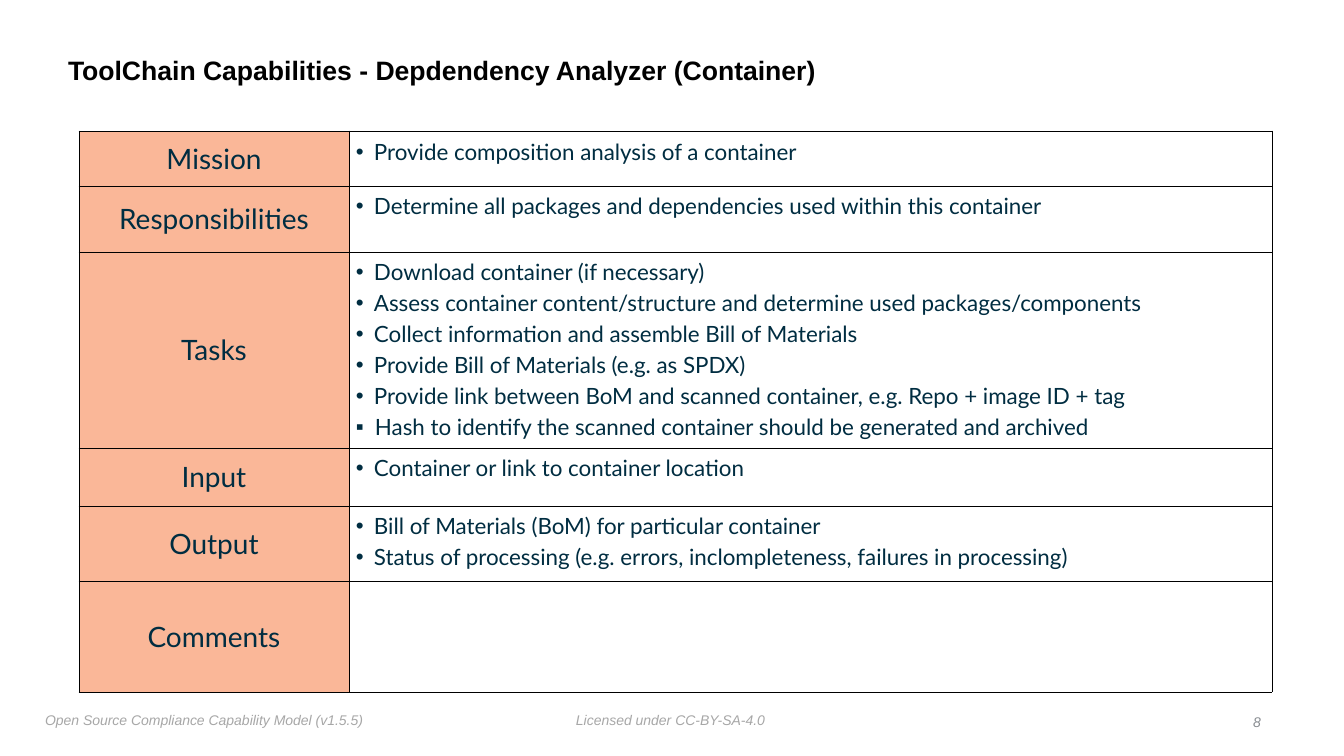
from lxml import etree
from pptx import Presentation
from pptx.dml.color import RGBColor
from pptx.enum.text import MSO_ANCHOR, MSO_AUTO_SIZE, PP_ALIGN
from pptx.oxml.ns import qn
from pptx.util import Emu, Pt

LEFT, CENTER, RIGHT = PP_ALIGN.LEFT, PP_ALIGN.CENTER, PP_ALIGN.RIGHT
TOP, MIDDLE = MSO_ANCHOR.TOP, MSO_ANCHOR.MIDDLE
NO_AUTOFIT = MSO_AUTO_SIZE.NONE
TITLE_ONLY = 5
SLIDE_W, SLIDE_H = 1344, 756
EMU_PER_PX = 12192000 / SLIDE_W

TITLE = "ToolChain Capabilities - Depdendency Analyzer (Container)"
COLUMN_WIDTHS = [270, 923]
DOT, SQUARE = ("•", 18), ("▪", 19)
# Label, row height, bulleted lines
CAPABILITIES = [
    ("Mission", 55, [(DOT, "Provide composition analysis of a container")]),
    ("Responsibilities", 66, [
        (DOT, "Determine all packages and dependencies used within this container"),
    ]),
    ("Tasks", 196, [
        (DOT, "Download container (if necessary)"),
        (DOT, "Assess container content/structure and determine used packages/components"),
        (DOT, "Collect information and assemble Bill of Materials"),
        (DOT, "Provide Bill of Materials (e.g. as SPDX)"),
        (DOT, "Provide link between BoM and scanned container, e.g. Repo + image ID + tag"),
        (SQUARE, "Hash to identify the scanned container should be generated and archived"),
    ]),
    ("Input", 58, [(DOT, "Container or link to container location")]),
    ("Output", 75, [
        (DOT, "Bill of Materials (BoM) for particular container"),
        (DOT, "Status of processing (e.g. errors, inclompleteness, failures in processing)"),
    ]),
    ("Comments", 111, []),
]


def px(n):
    return Emu(round(n * EMU_PER_PX))


def rgb(color):
    return RGBColor.from_string(color)


class SlideBuilder:
    heading_font, body_font = "Arial", "Lato"
    black, ink, muted, page_gray = "000000", "002D41", "A7A7A7", "888C91"
    label_fill = "FAB798"

    def __init__(self, prs):
        self.s = prs.slides.add_slide(prs.slide_layouts[TITLE_ONLY])

    def run(self, p, text, size, font, color, bold=False, italic=False):
        r = p.add_run()
        r.text = text
        r.font.size, r.font.name = Pt(size), font
        r.font.bold, r.font.italic = bold, italic
        r.font.color.rgb = rgb(color)

    def frame(self, tf, anchor, wrap):
        tf.auto_size, tf.word_wrap, tf.vertical_anchor = NO_AUTOFIT, wrap, anchor
        tf.margin_left = tf.margin_right = tf.margin_top = tf.margin_bottom = px(5)

    def title(self, text, x, y, w, h):
        sp = self.s.shapes.title
        sp.left, sp.top, sp.width, sp.height = map(px, (x, y, w, h))
        self.frame(sp.text_frame, MIDDLE, True)
        p = sp.text_frame.paragraphs[0]
        p.alignment, p.line_spacing = LEFT, 0.9
        self.run(p, text, 19, self.heading_font, self.black, bold=True)

    def footer(self, text, x, y, w, h, color, align=LEFT, anchor=TOP):
        sp = self.s.shapes.add_textbox(*map(px, (x, y, w, h)))
        self.frame(sp.text_frame, anchor, False)
        p = sp.text_frame.paragraphs[0]
        p.alignment = align
        self.run(p, text, 10, self.heading_font, color, italic=True)

    def bullet(self, p, char, indent):
        pPr = p._p.get_or_add_pPr()
        pPr.set("marL", str(px(indent)))
        pPr.set("indent", str(-px(indent)))
        etree.SubElement(pPr, qn("a:buFont"), typeface=self.heading_font)
        etree.SubElement(pPr, qn("a:buChar"), char=char)

    def borders(self, cell):
        tcPr = cell._tc.get_or_add_tcPr()
        for i, side in enumerate(("lnL", "lnR", "lnT", "lnB")):
            ln = etree.Element(qn(f"a:{side}"), w=str(Pt(0.5)))
            fill = etree.SubElement(ln, qn("a:solidFill"))
            etree.SubElement(fill, qn("a:srgbClr"), val=self.black)
            tcPr.insert(i, ln)

    def cell(self, cell, margin, anchor):
        cell.margin_left = cell.margin_right = px(margin)
        cell.margin_top = cell.margin_bottom = px(margin)
        cell.vertical_anchor = anchor
        self.borders(cell)

    def label_cell(self, cell, text):
        cell.fill.solid()
        cell.fill.fore_color.rgb = rgb(self.label_fill)
        self.cell(cell, 0, MIDDLE)
        p = cell.text_frame.paragraphs[0]
        p.alignment = CENTER
        self.run(p, text, 20, self.body_font, self.ink)

    def list_cell(self, cell, lines):
        cell.fill.background()
        self.cell(cell, 7, TOP)
        tf = cell.text_frame
        for i, ((char, indent), text) in enumerate(lines):
            p = tf.add_paragraph() if i else tf.paragraphs[0]
            if i:
                p.space_before = Pt(3)
            self.bullet(p, char, indent)
            self.run(p, text, 16, self.body_font, self.ink)

    def table(self, rows, widths, x, y):
        height = sum(h for _, h, _ in rows)
        table = self.s.shapes.add_table(
            len(rows), len(widths), px(x), px(y), px(sum(widths)), px(height)).table
        table.first_row = table.horz_banding = False
        for column, width in zip(table.columns, widths):
            column.width = px(width)
        for i, (label, row_height, lines) in enumerate(rows):
            table.rows[i].height = px(row_height)
            self.label_cell(table.cell(i, 0), label)
            self.list_cell(table.cell(i, 1), lines)


def main():
    prs = Presentation()
    prs.slide_width, prs.slide_height = px(SLIDE_W), px(SLIDE_H)
    b = SlideBuilder(prs)
    b.footer("Licensed under CC-BY-SA-4.0", 571, 707, 201, 25, b.muted)
    b.footer("Open Source Compliance Capability Model (v1.5.5)", 40, 707, 335, 27, b.muted)
    b.title(TITLE, 63, 39, 1084, 66)
    b.table(CAPABILITIES, COLUMN_WIDTHS, 79, 131)
    b.footer("8", 1247, 709, 19, 25, b.page_gray, RIGHT, MIDDLE)
    prs.save("out.pptx")


if __name__ == "__main__":
    main()
